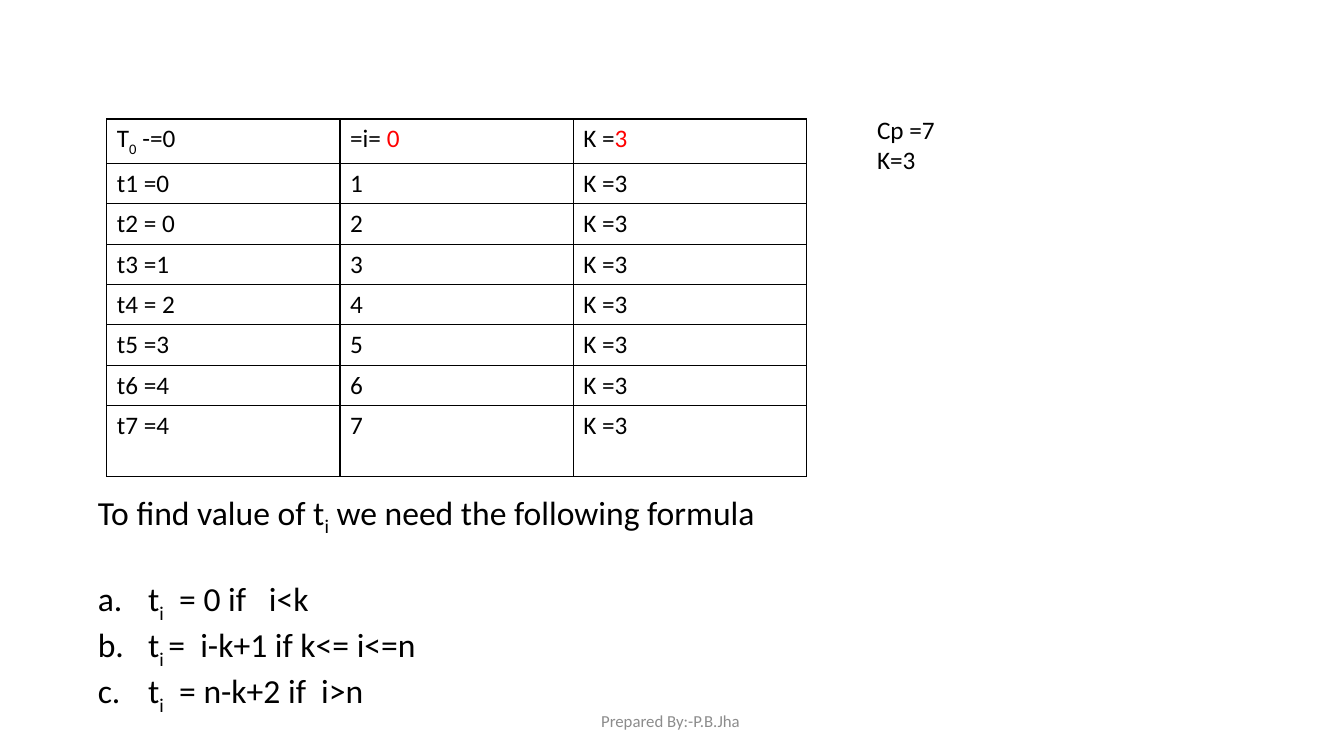
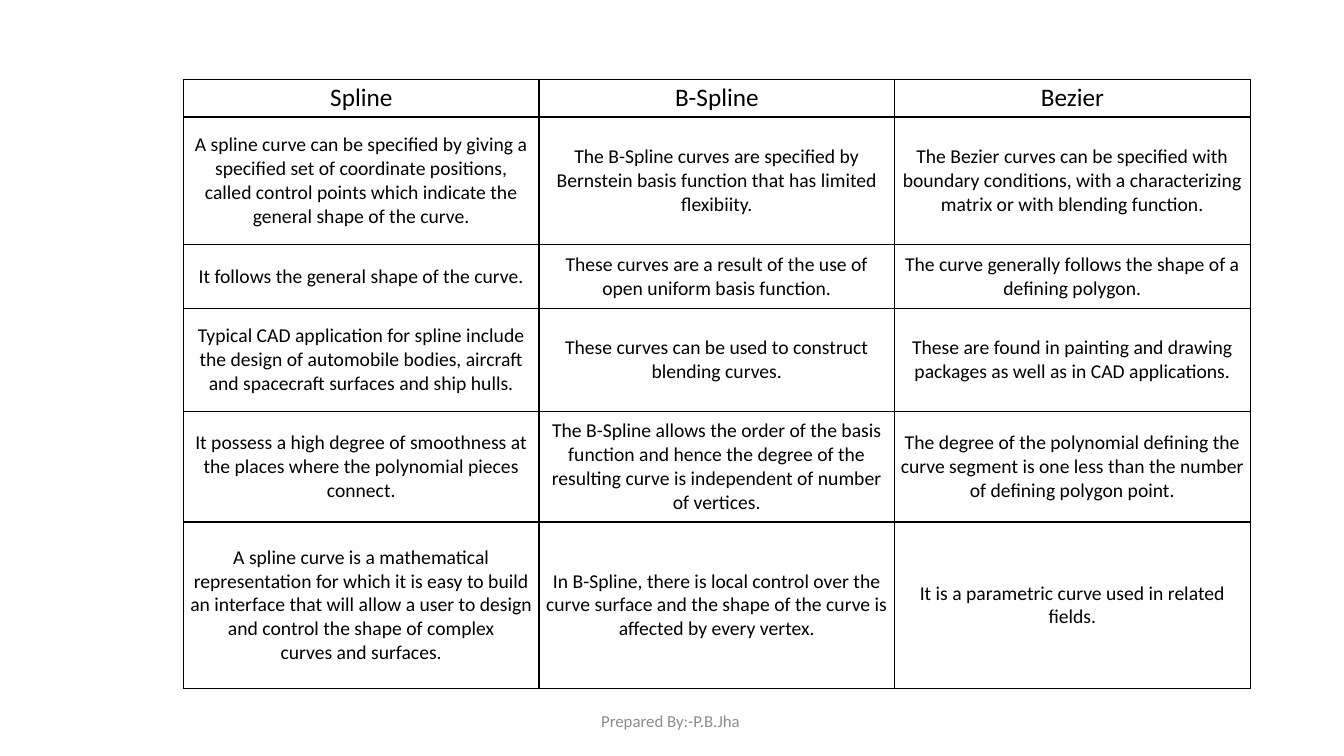
from typing import Any, NamedTuple

from lxml import etree
from pptx import Presentation, util as u
from pptx.dml.color import RGBColor
from pptx.enum import text
from pptx.oxml.ns import qn

PX = 9144  # EMU, 100 px to the inch
FONT = "Calibri"
HUES = {"ink": "000000", "red": "FF0000", "grey": "8C8C8C"}
MID, TOP = text.MSO_ANCHOR.MIDDLE, text.MSO_ANCHOR.TOP
LEFT, CENTER = text.PP_ALIGN.LEFT, text.PP_ALIGN.CENTER


class Run(NamedTuple):
    text: str
    sub: bool = False
    hue: str = "ink"


class Box(NamedTuple):
    x: int
    y: int
    w: int
    h: int


class Look(NamedTuple):
    size: int
    align: Any = LEFT
    anchor: Any = TOP
    padx: int = 10
    pady: int = 5


Line = list[Run]

PLAIN = Look(18)
HEAD = Look(18, CENTER, MID, 3, 3)
CELL = Look(14, CENTER, MID, 6, 8)
LIST = Look(24)
FOOT = Look(12, CENTER, MID)


def px(num: int) -> u.Emu:
    return u.Emu(num * PX)


def put(obj: Any, vals: dict[str, Any]) -> None:
    for key, val in vals.items():
        setattr(obj, key, val)


def pads(look: Look) -> dict[str, Any]:
    side, rise = px(look.padx), px(look.pady)
    return {"margin_left": side, "margin_right": side,
            "margin_top": rise, "margin_bottom": rise,
            "vertical_anchor": look.anchor}


def write(frame: Any, lines: list[Line], look: Look) -> None:
    for num, line in enumerate(lines):
        para = frame.add_paragraph() if num else frame.paragraphs[0]
        put(para, {"alignment": look.align, "space_before": u.Pt(0)})
        for item in line:
            for row, part in enumerate(item.text.split("\n")):
                if row:
                    para.add_line_break()
                run = para.add_run()
                run.text = part
                put(run.font, {"size": u.Pt(look.size), "name": FONT})
                run.font.color.rgb = RGBColor.from_string(HUES[item.hue])
                if item.sub:
                    run.font._element.set("baseline", "-25000")


def label(slide: Any, box: Box, lines: list[Line], look: Look) -> None:
    frame = slide.shapes.add_textbox(*map(px, box)).text_frame
    put(frame, {"word_wrap": True, **pads(look)})
    write(frame, lines, look)


def footer(slide: Any) -> None:
    label(slide, Box(442, 695, 450, 40), [[Run("Prepared By:-P.B.Jha ")._replace(hue="grey")]], FOOT)


def frame_cell(cell: Any) -> None:
    """Draw a thin black border on all four sides and drop the fill."""
    props = cell._tc.get_or_add_tcPr()
    for side in ("lnL", "lnR", "lnT", "lnB"):
        edge = etree.SubElement(props, qn(f"a:{side}"), w=str(u.Pt(1)))
        fill = etree.SubElement(edge, qn("a:solidFill"))
        etree.SubElement(fill, qn("a:srgbClr"), val=HUES["ink"])
    cell.fill.background()


def grid(slide: Any, box: Box, highs: list[int], rows: list[list[Line]],
         head: Look, body: Look) -> None:
    cols = len(rows[0])
    table = slide.shapes.add_table(len(rows), cols, *map(px, box)).table
    put(table, {"first_row": False, "horz_banding": False})
    for col in table.columns:
        col.width = px(box.w) // cols
    for num, (high, row) in enumerate(zip(highs, rows)):
        table.rows[num].height = px(high)
        look = body if num else head
        for col, line in enumerate(row):
            cell = table.cell(num, col)
            put(cell, pads(look))
            frame_cell(cell)
            write(cell.text_frame, [line], look)


def letter(para: Any) -> None:
    """Number the paragraph a., b., c. with a hanging indent."""
    props = para._p.get_or_add_pPr()
    props.set("marL", str(px(50)))
    props.set("indent", str(-px(50)))
    etree.SubElement(props, qn("a:buFont"), typeface="+mj-lt")
    etree.SubElement(props, qn("a:buAutoNum"), type="alphaLcPeriod")


def knots(deck: Any) -> None:
    slide = deck.slides.add_slide(deck.slide_layouts[1])
    title = slide.shapes.title._element
    title.getparent().remove(title)
    footer(slide)

    body = slide.placeholders[1]
    put(body, dict(zip(("left", "top", "width", "height"), map(px, Box(87, 483, 881, 212)))))
    frame = body.text_frame
    put(frame, {"auto_size": text.MSO_AUTO_SIZE.NONE, "word_wrap": True, **pads(LIST)})
    rules = [("i", "  = 0 if   i<k"), ("i ", "=  i-k+1 if k<= i<=n"), ("i", "  = n-k+2 if  i>n")]
    intro = [Run("To find value of t"), Run("i", True), Run(" we need the following formula")]
    write(frame, [intro] + [[Run("t"), Run(sub, True), Run(rest)] for sub, rest in rules], LIST)
    first, *items = frame.paragraphs
    props = first._p.get_or_add_pPr()
    put(props, {"marL": 0, "indent": 0})
    etree.SubElement(props, qn("a:buNone"))
    for para in items:
        letter(para)
    items[0].space_before = u.Pt(29)

    rows = [[[Run("T"), Run("0", True), Run(" -=0")],
             [Run("=i= "), Run("0", hue="red")],
             [Run("K ="), Run("3", hue="red")]]]
    names = ("t1 =0", "t2 = 0", "t3 =1", "t4 = 2", "t5 =3", "t6 =4", "t7 =4")
    rows += [[[Run(name)], [Run(str(num))], [Run("K =3")]] for num, name in enumerate(names, 1)]
    grid(slide, Box(106, 118, 694, 354), [44] + [40] * 6 + [70], rows, PLAIN, PLAIN)
    label(slide, Box(860, 108, 411, 71), [[Run("Cp =7")], [Run("K=3")]], PLAIN)


CURVES = [
    ("Spline", "B-Spline", "Bezier"),
    ("A spline curve can be specified by giving a specified set of coordinate positions, "
     "called control points which indicate the general shape of the curve.",
     "The B-Spline curves are specified by Bernstein basis function that has limited flexibiity.",
     "The Bezier curves can be specified with boundary conditions, "
     "with a characterizing matrix or with blending function."),
    ("It follows the general shape of the curve.",
     "These curves are a result of the use of open uniform basis function.",
     "The curve generally follows the shape of a defining polygon."),
    ("Typical CAD application for spline include the design of automobile bodies, "
     "aircraft and spacecraft surfaces and ship hulls.",
     "These curves can be used to construct blending curves.",
     "These are found in painting and drawing packages as well as in CAD applications."),
    ("It possess a high degree of smoothness at the places where the polynomial pieces connect.",
     "The B-Spline allows the order of the basis function and hence the degree of the "
     "resulting curve is independent of number of vertices.",
     "The degree of the polynomial defining the curve segment is one less than "
     "the number of defining polygon point."),
    ("A spline curve is a mathematical representation for which it is easy to build\n"
     "an interface that will allow a user to design and control the shape of complex\n"
     "curves and surfaces.",
     "In B-Spline, there is local control over the curve surface and the shape of the curve "
     "is affected by every vertex.",
     "It is a parametric curve used in related fields."),
]


def curves(deck: Any) -> None:
    slide = deck.slides.add_slide(deck.slide_layouts[6])
    footer(slide)
    rows = [[[Run(cell)] for cell in row] for row in CURVES]
    grid(slide, Box(182, 79, 1058, 604), [37, 127, 63, 102, 110, 165], rows, HEAD, CELL)


def main() -> None:
    deck = Presentation()
    put(deck, {"slide_width": px(1333), "slide_height": px(750)})
    knots(deck)
    curves(deck)
    deck.save("out.pptx")


if __name__ == "__main__":
    main()
